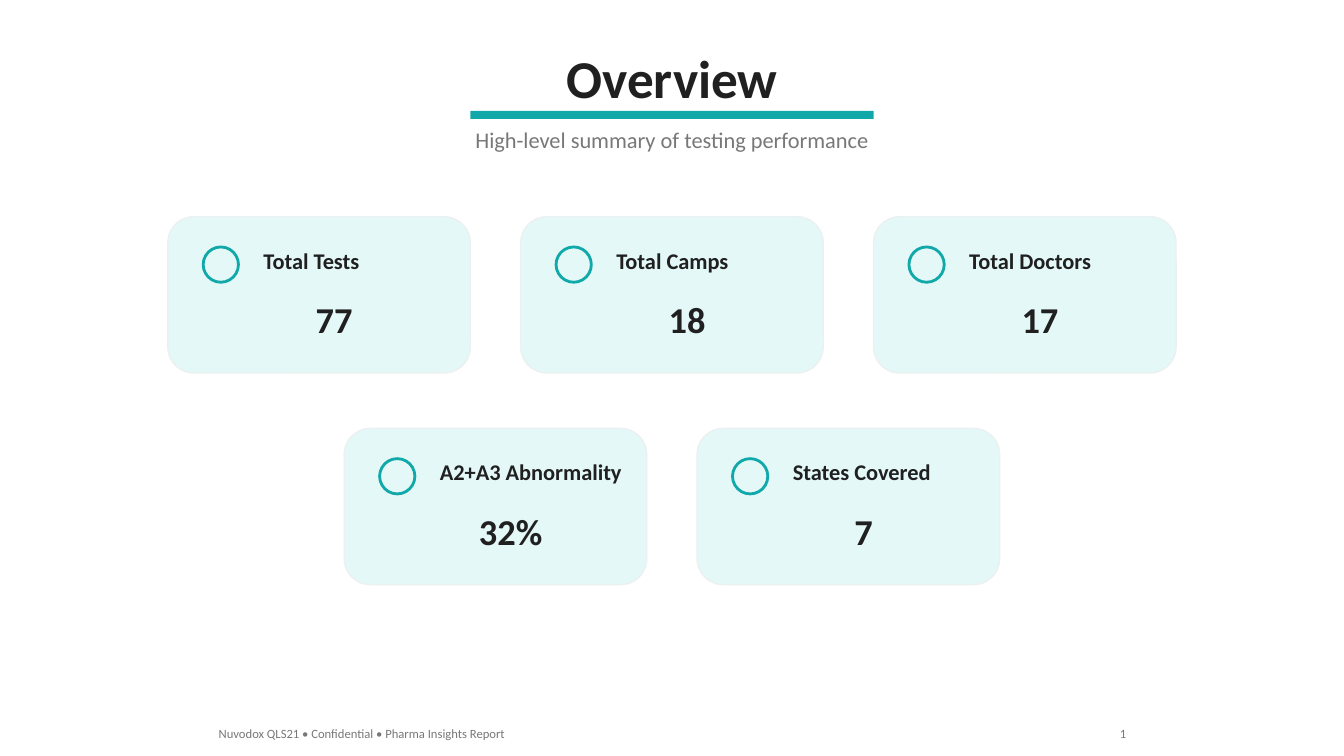
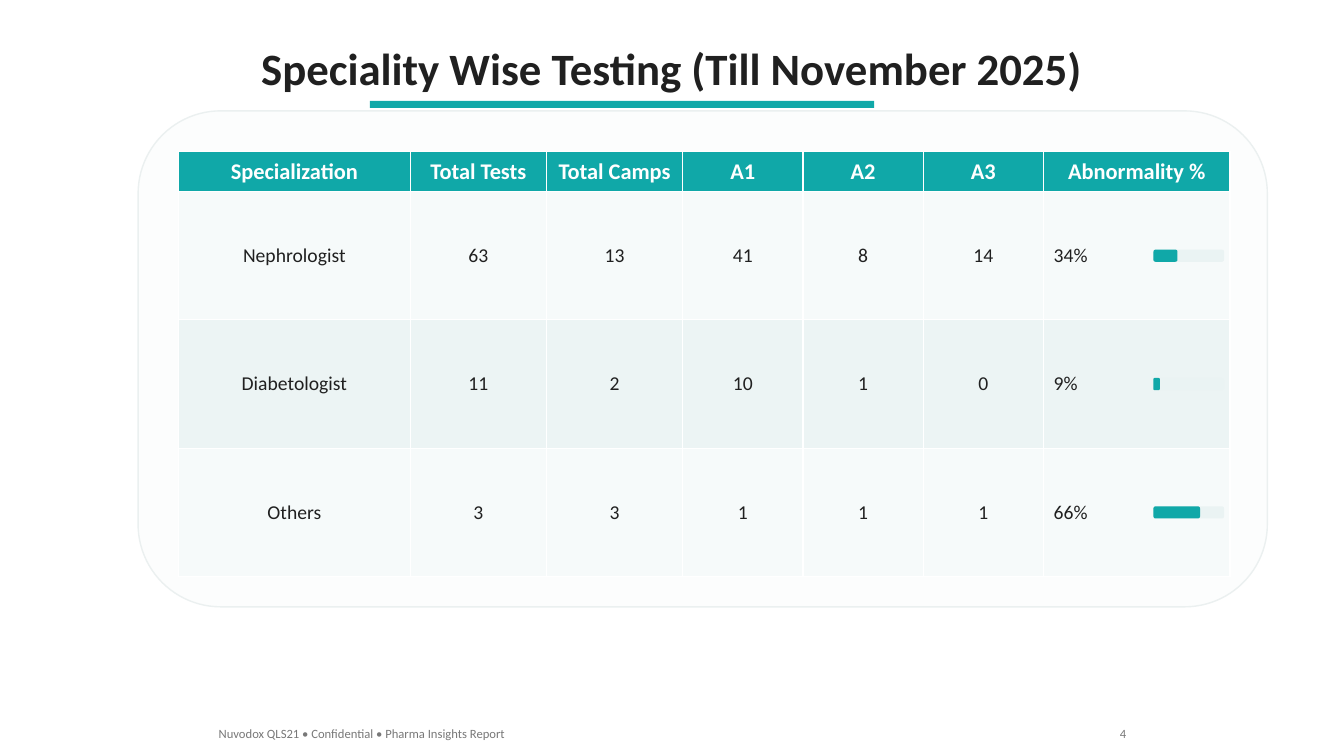
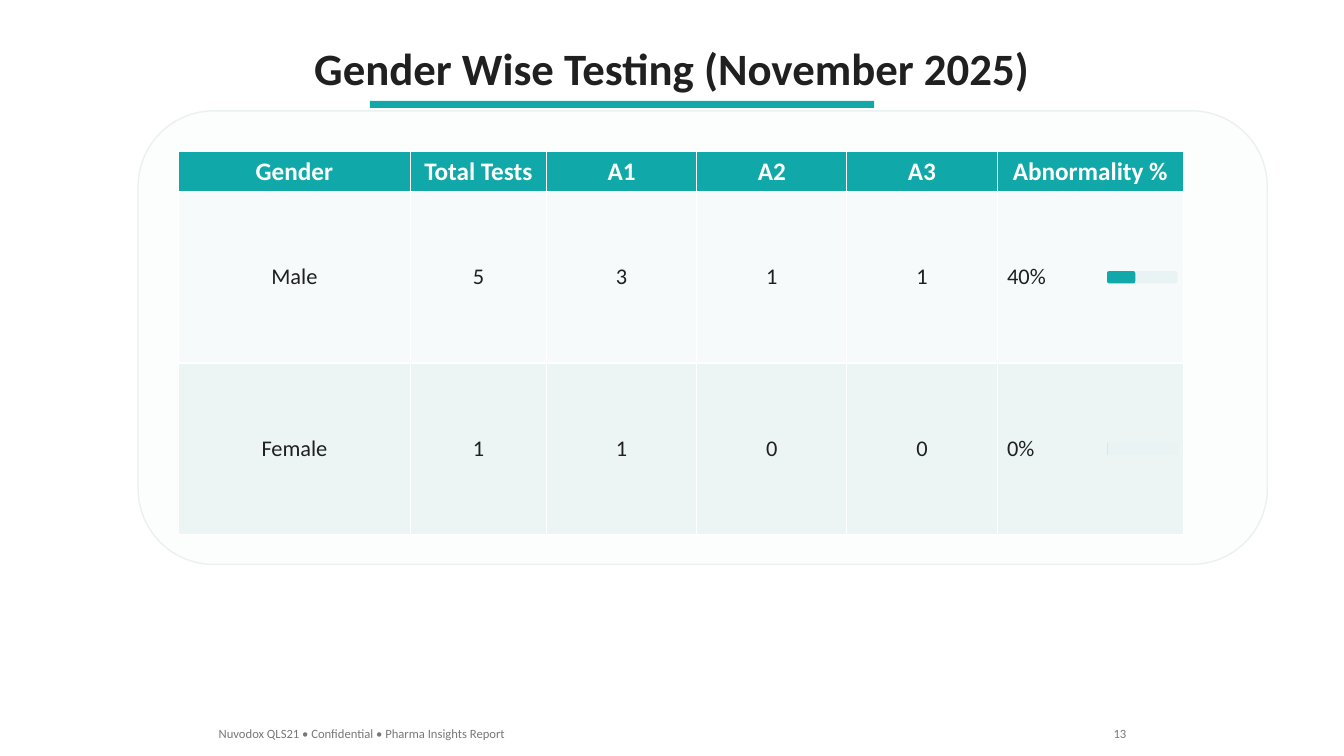
from dataclasses import dataclass

from pptx import Presentation
from pptx.dml.color import RGBColor
from pptx.enum.shapes import MSO_SHAPE
from pptx.enum.text import MSO_ANCHOR, MSO_AUTO_SIZE, PP_ALIGN
from pptx.shapes.autoshape import Shape
from pptx.slide import Slide
from pptx.table import Table
from pptx.text.text import TextFrame
from pptx.util import Inches, Pt

LEFT, CENTER, RIGHT = PP_ALIGN.LEFT, PP_ALIGN.CENTER, PP_ALIGN.RIGHT
RECT, ROUNDED, OVAL = MSO_SHAPE.RECTANGLE, MSO_SHAPE.ROUNDED_RECTANGLE, MSO_SHAPE.OVAL
MIDDLE = MSO_ANCHOR.MIDDLE
FIT_SHAPE = MSO_AUTO_SIZE.SHAPE_TO_FIT_TEXT


@dataclass(frozen=True)
class Theme:
    font: str = "Calibri"
    ink: str = "202020"
    muted: str = "787878"
    accent: str = "10A8A8"
    white: str = "FFFFFF"
    card: str = "E4F8F8"
    panel: str = "FCFDFD"
    outline: str = "EBF0F0"
    track: str = "EAF3F3"
    stripes: tuple[str, str] = ("F6FAFA", "ECF4F4")
    overview_title: int = 38
    table_title: int = 32
    figure: int = 26
    label: int = 16
    footer: int = 9


@dataclass(frozen=True)
class Box:
    left: float
    top: float
    width: float
    height: float

    @property
    def right(self) -> float:
        return self.left + self.width

    @property
    def bottom(self) -> float:
        return self.top + self.height


@dataclass(frozen=True)
class Metric:
    label: str
    value: str
    label_width: float
    value_width: float


@dataclass(frozen=True)
class Report:
    title: str
    title_width: float
    page: str
    page_width: float
    header: tuple[str, ...]
    rows: tuple[tuple[str, ...], ...]
    table_width: float
    row_height: float
    header_size: int
    body_size: int


THEME = Theme()
SLIDE_W, SLIDE_H = 13.33, 7.5
FOOTER_TEXT = "Nuvodox QLS21 • Confidential • Pharma Insights Report"
FOOTER_TOP, FOOTER_LEFT, FOOTER_RIGHT = 7.15, 2.07, 11.27

# Overview grid
CARD_W, CARD_H = 3, 1.55
CARD_GAP_X, CARD_GAP_Y, CARDS_TOP = 0.5, 0.55, 2.15
VALUE_AXIS = 1.65

# Report table
PANEL_LEFT, PANEL_TOP, PANEL_W = 1.37, 1.1, 11.2
PANEL_PAD, PANEL_PAD_BOTTOM = 0.4, 0.3
HEADER_H = 0.4
COLUMN_WIDTHS = {"Total Tests": 1.35, "Total Camps": 1.35, "Abnormality %": 1.85}
FIRST_COLUMN_W = 2.3
BAR_W, BAR_H, BAR_INSET = 0.7, 0.12, 0.76

METRIC_ROWS = (
    (
        Metric("Total Tests", "77", 1.16, 0.57),
        Metric("Total Camps", "18", 1.33, 0.57),
        Metric("Total Doctors", "17", 1.43, 0.57),
    ),
    (
        Metric("A2+A3 Abnormality", "32%", 2.03, 0.84),
        Metric("States Covered", "7", 1.59, 0.39),
    ),
)

REPORTS = (
    Report(
        "Speciality Wise Testing (Till November 2025)", 8.43, "4", 0.27,
        ("Specialization", "Total Tests", "Total Camps", "A1", "A2", "A3", "Abnormality %"),
        (
            ("Nephrologist", "63", "13", "41", "8", "14", "34%"),
            ("Diabetologist", "11", "2", "10", "1", "0", "9%"),
            ("Others", "3", "3", "1", "1", "1", "66%"),
        ),
        table_width=10.43, row_height=3.82 / 3, header_size=16, body_size=14,
    ),
    Report(
        "Gender Wise Testing (November 2025)", 7.36, "13", 0.33,
        ("Gender", "Total Tests", "A1", "A2", "A3", "Abnormality %"),
        (
            ("Male", "5", "3", "1", "1", "40%"),
            ("Female", "1", "1", "0", "0", "0%"),
        ),
        table_width=9.97, row_height=1.7, header_size=18, body_size=16,
    ),
)


# Shared drawing functions
def emu(box: Box) -> tuple[int, int, int, int]:
    return Inches(box.left), Inches(box.top), Inches(box.width), Inches(box.height)


def centered(axis: float, top: float, width: float, height: float) -> Box:
    return Box(axis - width / 2, top, width, height)


def write(frame: TextFrame, text: str, size: int, color: str,
          bold: bool = False, align: PP_ALIGN = LEFT) -> None:
    frame.text = text
    paragraph = frame.paragraphs[0]
    paragraph.alignment = align
    font = paragraph.runs[0].font
    font.name, font.size, font.bold = THEME.font, Pt(size), bold
    font.color.rgb = RGBColor.from_string(color)


def add_text(slide: Slide, box: Box, text: str, size: int, color: str = THEME.ink,
             bold: bool = False, align: PP_ALIGN = LEFT) -> None:
    frame = slide.shapes.add_textbox(*emu(box)).text_frame
    frame.word_wrap = False
    frame.auto_size = FIT_SHAPE
    write(frame, text, size, color, bold, align)


def add_block(slide: Slide, kind: MSO_SHAPE, box: Box, fill: str | None = None,
              line: str | None = None, line_width: float = 1) -> Shape:
    block = slide.shapes.add_shape(kind, *emu(box))
    block.shadow.inherit = False
    if fill:
        block.fill.solid()
        block.fill.fore_color.rgb = RGBColor.from_string(fill)
    else:
        block.fill.background()
    if line:
        block.line.color.rgb = RGBColor.from_string(line)
        block.line.width = Pt(line_width)
    else:
        block.line.fill.background()
    return block


def add_heading(slide: Slide, title: str, title_box: Box, size: int, rule: Box) -> None:
    add_text(slide, title_box, title, size, bold=True, align=CENTER)
    add_block(slide, RECT, rule, THEME.accent)


def add_footer(slide: Slide, page: str, page_width: float) -> None:
    add_text(slide, Box(FOOTER_LEFT, FOOTER_TOP, 3.05, 0.25), FOOTER_TEXT,
             THEME.footer, THEME.muted)
    add_text(slide, Box(FOOTER_RIGHT - page_width, FOOTER_TOP, page_width, 0.25), page,
             THEME.footer, THEME.muted, align=RIGHT)


# Overview slide
def add_card(slide: Slide, left: float, top: float, metric: Metric) -> None:
    add_block(slide, ROUNDED, Box(left, top, CARD_W, CARD_H), THEME.card, THEME.outline)
    add_block(slide, OVAL, Box(left + 0.35, top + 0.3, 0.35, 0.35),
              line=THEME.accent, line_width=2)
    add_text(slide, Box(left + 0.85, top + 0.25, metric.label_width, 0.37),
             metric.label, THEME.label, bold=True)
    add_text(slide, centered(left + VALUE_AXIS, top + 0.75, metric.value_width, 0.54),
             metric.value, THEME.figure, bold=True, align=CENTER)


def build_overview(slide: Slide) -> None:
    axis = SLIDE_W / 2
    add_heading(slide, "Overview", centered(axis, 0.4, 2.32, 0.74),
                THEME.overview_title, centered(axis, 1.1, 4, 0.08))
    add_text(slide, centered(axis, 1.2, 4.15, 0.37),
             "High-level summary of testing performance",
             THEME.label, THEME.muted, align=CENTER)
    for row, metrics in enumerate(METRIC_ROWS):
        count = len(metrics)
        row_left = (SLIDE_W - count * CARD_W - (count - 1) * CARD_GAP_X) / 2
        top = CARDS_TOP + row * (CARD_H + CARD_GAP_Y)
        for column, metric in enumerate(metrics):
            add_card(slide, row_left + column * (CARD_W + CARD_GAP_X), top, metric)
    add_footer(slide, "1", 0.27)


# Report slides
def column_widths(report: Report) -> list[float]:
    """Grade columns share the width that the named columns leave."""
    fixed = {report.header[0]: FIRST_COLUMN_W, **COLUMN_WIDTHS}
    used = sum(fixed.get(name, 0) for name in report.header)
    grades = sum(name not in fixed for name in report.header)
    share = (report.table_width - used) / grades
    return [fixed.get(name, share) for name in report.header]


def fill_row(table: Table, row: int, texts: tuple[str, ...], size: int, fill: str,
             color: str, bold: bool, last_align: PP_ALIGN) -> None:
    last = len(texts) - 1
    for column, text in enumerate(texts):
        cell = table.cell(row, column)
        cell.fill.solid()
        cell.fill.fore_color.rgb = RGBColor.from_string(fill)
        cell.vertical_anchor = MIDDLE
        write(cell.text_frame, text, size, color, bold,
              last_align if column == last else CENTER)


def add_results(slide: Slide, report: Report, area: Box) -> None:
    table = slide.shapes.add_table(
        len(report.rows) + 1, len(report.header), *emu(area)).table
    for column, width in zip(table.columns, column_widths(report)):
        column.width = Inches(width)
    heights = [HEADER_H] + [report.row_height] * len(report.rows)
    for row, height in zip(table.rows, heights):
        row.height = Inches(height)
    fill_row(table, 0, report.header, report.header_size, THEME.accent,
             THEME.white, True, CENTER)
    for index, texts in enumerate(report.rows):
        fill_row(table, index + 1, texts, report.body_size,
                 THEME.stripes[index % 2], THEME.ink, False, LEFT)


def add_bars(slide: Slide, report: Report, area: Box) -> None:
    left = area.right - BAR_INSET
    for index, texts in enumerate(report.rows):
        middle = area.top + HEADER_H + (index + 0.5) * report.row_height
        share = int(texts[-1].rstrip("%")) / 100
        for width, color in ((BAR_W, THEME.track), (BAR_W * share, THEME.accent)):
            add_block(slide, ROUNDED, Box(left, middle - BAR_H / 2, width, BAR_H), color)


def build_report(slide: Slide, report: Report) -> None:
    add_heading(slide, report.title,
                centered(SLIDE_W / 2, 0.35, report.title_width, 0.64),
                THEME.table_title, Box(3.67, 1, 5, 0.07))
    area = Box(PANEL_LEFT + PANEL_PAD, PANEL_TOP + PANEL_PAD, report.table_width,
               HEADER_H + len(report.rows) * report.row_height)
    panel_height = area.bottom + PANEL_PAD_BOTTOM - PANEL_TOP
    add_block(slide, ROUNDED, Box(PANEL_LEFT, PANEL_TOP, PANEL_W, panel_height),
              THEME.panel, THEME.outline)
    add_results(slide, report, area)
    add_bars(slide, report, area)
    add_footer(slide, report.page, report.page_width)


def main() -> None:
    deck = Presentation()
    deck.slide_width, deck.slide_height = Inches(SLIDE_W), Inches(SLIDE_H)
    blank = deck.slide_layouts[6]
    build_overview(deck.slides.add_slide(blank))
    for report in REPORTS:
        build_report(deck.slides.add_slide(blank), report)
    deck.save("out.pptx")


if __name__ == "__main__":
    main()
